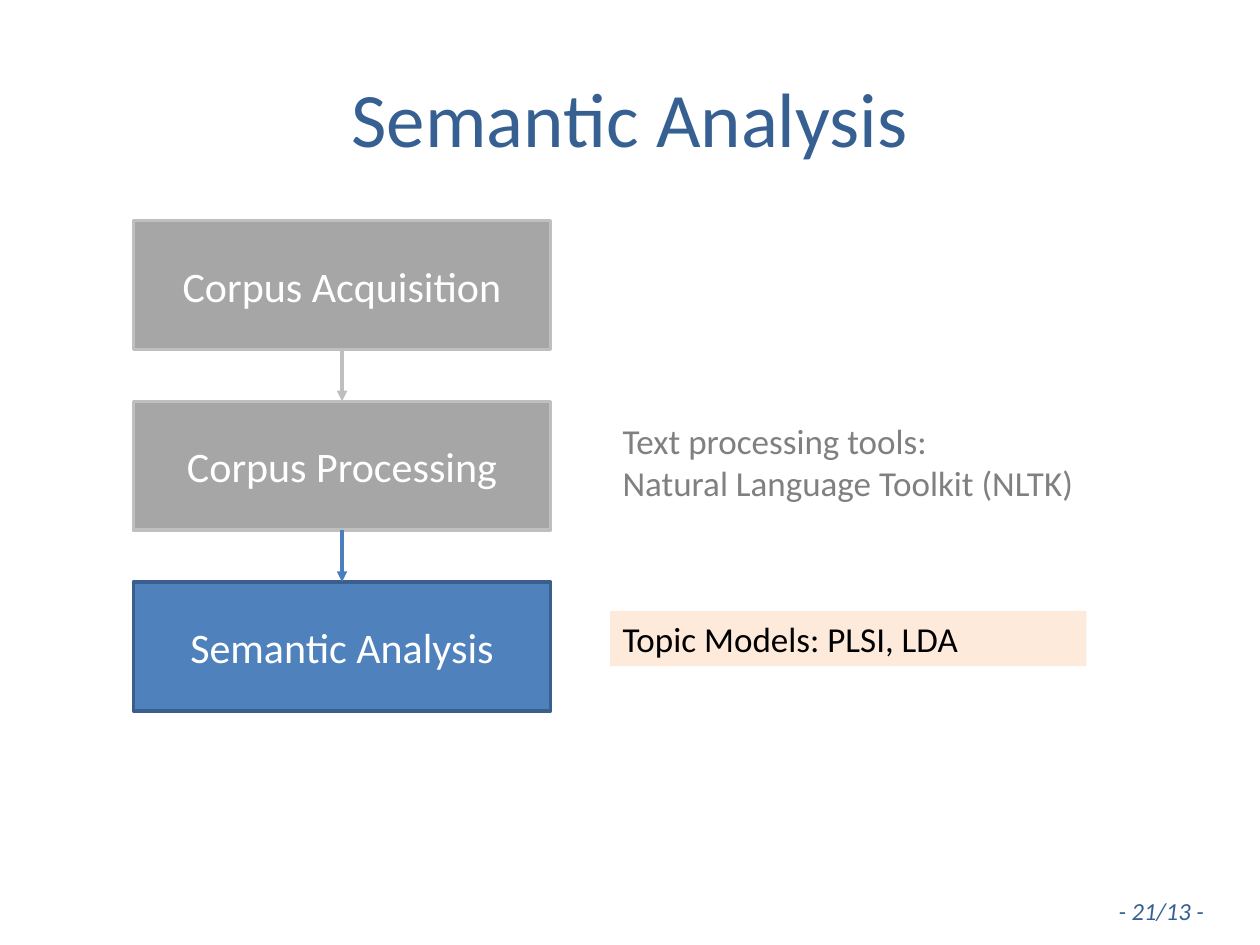
"""Build the Semantic Analysis slide: a three-step pipeline with notes beside it."""
from pptx import Presentation
from pptx.dml.color import RGBColor
from pptx.enum.shapes import MSO_CONNECTOR as Connector, MSO_SHAPE as Shape
from pptx.enum.text import MSO_ANCHOR as Anchor, PP_ALIGN as Align
from pptx.oxml.ns import qn
from pptx.util import Cm, Pt
from lxml.etree import SubElement

NAVY = RGBColor(0x37, 0x60, 0x92)
BLUE = RGBColor(0x4F, 0x81, 0xBD)
DARK_BLUE = RGBColor(0x3A, 0x5F, 0x8C)
ARROW_BLUE = RGBColor(0x4B, 0x7E, 0xBC)
GRAY = RGBColor(0xA6, 0xA6, 0xA6)
LIGHT_GRAY = RGBColor(0xBF, 0xBF, 0xBF)
TEXT_GRAY = RGBColor(0x80, 0x80, 0x80)
PEACH = RGBColor(0xFD, 0xEA, 0xDA)
WHITE = RGBColor(0xFF, 0xFF, 0xFF)
BLACK = RGBColor(0, 0, 0)

STEP_LEFT, STEP_TOP = Cm(2.69), Cm(4.45)
STEP_WIDTH, STEP_HEIGHT = Cm(8.41), Cm(2.6)
STEP_PITCH = Cm(3.64)


def write_text(shape, text, size, color, align=Align.LEFT, anchor=Anchor.TOP, wrap=True):
    frame = shape.text_frame
    frame.text = text
    frame.word_wrap = wrap
    frame.vertical_anchor = anchor
    for paragraph in frame.paragraphs:
        paragraph.alignment = align
        paragraph.font.name = "Calibri"
        paragraph.font.size = Pt(size)
        paragraph.font.color.rgb = color


presentation = Presentation()
presentation.slide_width, presentation.slide_height = Cm(25.4), Cm(19.05)
slide = presentation.slides.add_slide(presentation.slide_layouts[5])
shapes = slide.shapes

title = shapes.title
title.left, title.top, title.width, title.height = Cm(1.27), Cm(0.76), Cm(22.86), Cm(3.18)
write_text(title, "Semantic Analysis", 44, NAVY, Align.CENTER, Anchor.MIDDLE)

steps = []
for index, (label, fill, border) in enumerate([
    ("Corpus Acquisition", GRAY, LIGHT_GRAY),
    ("Corpus Processing", GRAY, LIGHT_GRAY),
    ("Semantic Analysis", BLUE, DARK_BLUE),
]):
    step = shapes.add_shape(Shape.RECTANGLE, STEP_LEFT, STEP_TOP + index * STEP_PITCH,
                            STEP_WIDTH, STEP_HEIGHT)
    step.shadow.inherit = False
    step.fill.solid()
    step.fill.fore_color.rgb = fill
    step.line.color.rgb = border
    step.line.width = Pt(2)
    write_text(step, label, 24, WHITE, Align.CENTER, Anchor.MIDDLE)
    steps.append(step)

for upper, lower, color in zip(steps, steps[1:], [LIGHT_GRAY, ARROW_BLUE]):
    arrow = shapes.add_connector(Connector.STRAIGHT, 0, 0, 0, 0)
    arrow.begin_connect(upper, 2)
    arrow.end_connect(lower, 0)
    arrow.line.color.rgb = color
    arrow.line.width = Pt(2)
    SubElement(arrow.line._get_or_add_ln(), qn("a:tailEnd"), type="triangle")
    SubElement(arrow._element.spPr, qn("a:effectLst"))

tools = shapes.add_textbox(Cm(12.3), Cm(8.33), Cm(9.6), Cm(1.96))
write_text(tools, "Text processing tools:\nNatural Language Toolkit (NLTK)", 20, TEXT_GRAY)

models = shapes.add_shape(Shape.RECTANGLE, Cm(12.3), Cm(12.32), Cm(9.6), Cm(1.11))
models.shadow.inherit = False
models.fill.solid()
models.fill.fore_color.rgb = PEACH
models.line.fill.background()
write_text(models, "Topic Models: PLSI, LDA", 20, BLACK)

page_number = shapes.add_textbox(Cm(22.3), Cm(17.93), Cm(2.62), Cm(0.86))
write_text(page_number, "- 21/13 -", 14, NAVY, wrap=False)
page_number.text_frame.paragraphs[0].font.italic = True

presentation.save("out.pptx")
